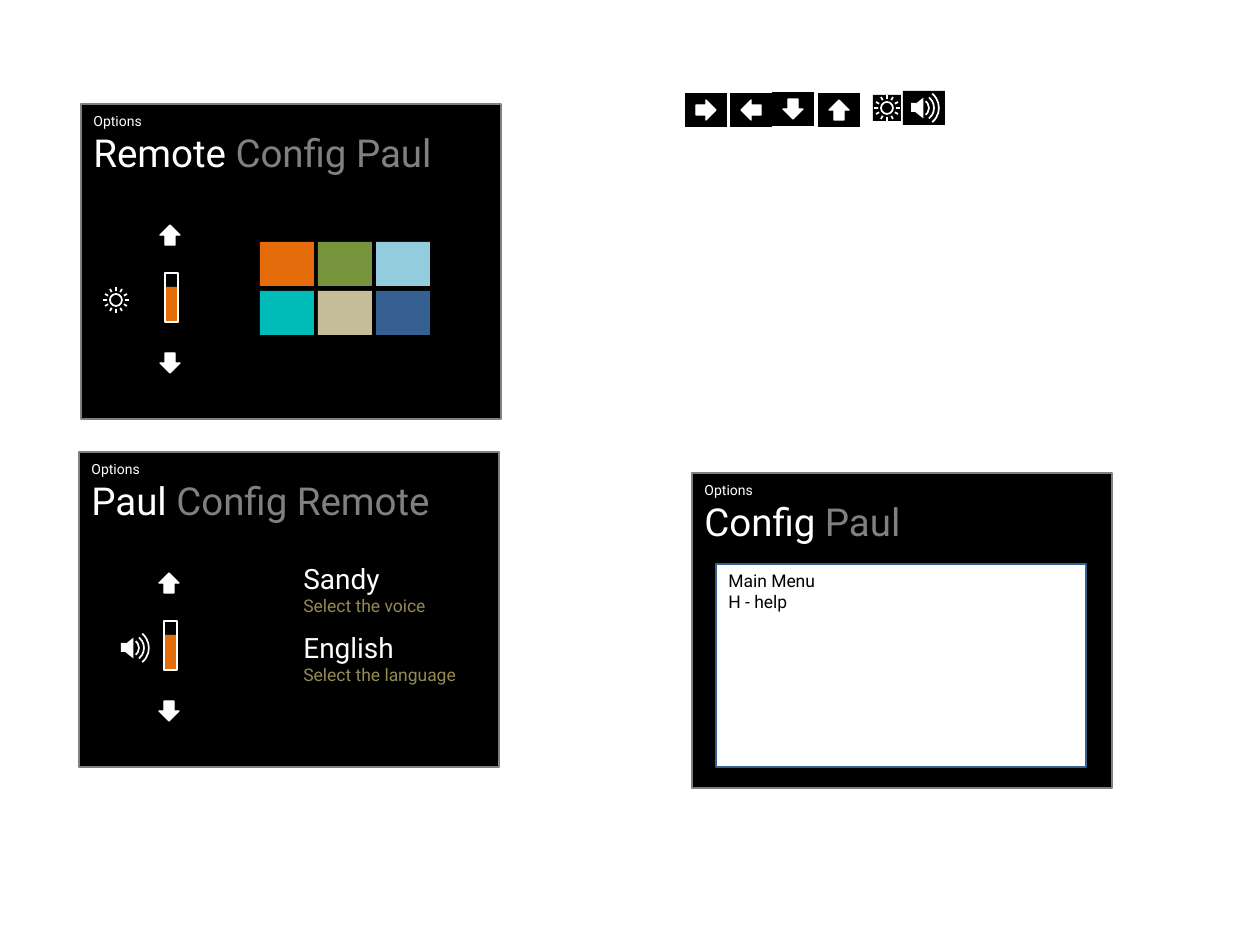
import math
from pptx import Presentation
from pptx import util as u
from pptx.dml.color import RGBColor
from pptx.enum import shapes, text
from pptx.oxml import parse_xml
from pptx.oxml.ns import nsdecls

SCALE = 914400 / 126
COLORS = {
    "white": "FFFFFF", "icon": "FEFEFE", "black": "000000", "gray": "808080",
    "orange": "E46C0A", "green": "77933C", "sky": "93CDDD",
    "teal": "00BCB8", "sand": "C4BD97", "blue": "376092", "olive": "948A54",
}
KIND = shapes.MSO_SHAPE
RIGHT, DOWN, LEFT, UP = 0, 90, 180, 270


def px(value):
    return u.Emu(round(value * SCALE))


def color(name):
    return RGBColor.from_string(COLORS[name])


class Sketch:
    font = "Roboto"

    def __init__(self, slide):
        self.slide = slide
        self.layer = slide.shapes

    def group(self, draw, *args):
        self.layer = self.slide.shapes.add_group_shape().shapes
        draw(*args)
        self.layer = self.slide.shapes

    def shape(self, kind, x, y, w, h, fill=None, line=None, width=0.75, turn=0, adj=()):
        item = self.layer.add_shape(kind, px(x), px(y), px(w), px(h))
        item.shadow.inherit = False
        item.rotation = turn
        for i, value in enumerate(adj):
            item.adjustments[i] = value
        if fill:
            item.fill.solid()
            item.fill.fore_color.rgb = color(fill)
        else:
            item.fill.background()
        if line:
            item.line.color.rgb = color(line)
            item.line.width = u.Pt(width)
        else:
            item.line.fill.background()
        return item

    def centered(self, kind, cx, cy, w, h, **style):
        return self.shape(kind, cx - w // 2, cy - h // 2, w, h, **style)

    def line(self, x1, y1, x2, y2):
        item = self.layer.add_connector(
            shapes.MSO_CONNECTOR.STRAIGHT, px(x1), px(y1), px(x2), px(y2))
        item.line.color.rgb = color("icon")
        item.line.width = u.Pt(1)
        item._element.spPr.append(parse_xml(f"<a:effectLst {nsdecls('a')}/>"))

    def fill_text(self, frame, paragraphs, **frame_format):
        """Each paragraph is a list of (text, size, color) runs."""
        for name, value in frame_format.items():
            setattr(frame, name, value)
        for i, runs in enumerate(paragraphs):
            para = frame.paragraphs[0] if i == 0 else frame.add_paragraph()
            para.alignment = text.PP_ALIGN.LEFT
            for words, size, tint in runs:
                run = para.add_run()
                run.text = words
                for name, value in {"name": self.font, "size": u.Pt(size)}.items():
                    setattr(run.font, name, value)
                run.font.color.rgb = color(tint)

    def textbox(self, x, y, w, h, paragraphs, **frame_format):
        frame = self.layer.add_textbox(px(x), px(y), px(w), px(h)).text_frame
        self.fill_text(frame, paragraphs, **frame_format)
        return frame

    def arrow(self, x, y, turn):
        self.shape(KIND.RIGHT_ARROW, x, y, 20, 20, fill="white", line="white", turn=turn)

    def badge(self, x, y):
        self.shape(KIND.RECTANGLE, x, y, 42, 34, fill="black")

    def arrow_badge(self, x, y, turn):
        self.badge(x, y)
        self.arrow(x + 11, y + 7, turn)

    def sun(self, cx, cy):
        self.centered(KIND.RECTANGLE, cx, cy, 28, 26, fill="black")
        for degrees in range(0, 180, 30):
            dx = round(12.6 * math.cos(math.radians(degrees)))
            dy = round(12.6 * math.sin(math.radians(degrees)))
            self.line(cx - dx, cy - dy, cx + dx, cy + dy)
        for size, outline in ((16, "black"), (12, "icon")):
            self.centered(KIND.OVAL, cx, cy, size, size, fill="black", line=outline, width=1)

    def speaker(self, cx, cy, on_badge=False):
        if on_badge:
            self.badge(cx - 16, cy - 17)
        self.shape(KIND.RECTANGLE, cx - 8, cy - 5, 5, 9, fill="icon")
        self.centered(KIND.TRAPEZOID, cx, cy, 21, 8, fill="icon", turn=270, adj=(0.79,))
        for size in (19, 29, 39):
            self.centered(KIND.ARC, cx, cy, size, size - 1, line="icon", width=1,
                          adj=(187.283, 28.798))

    def gauge(self, x, y):
        self.shape(KIND.RECTANGLE, x, y + 14, 13, 36, fill="orange")
        self.shape(KIND.RECTANGLE, x, y, 13, 49, line="white")
        self.arrow(x - 5, y - 48, UP)
        self.arrow(x - 5, y + 80, DOWN)

    def screen(self, x, y, active, others, title_width):
        self.shape(KIND.RECTANGLE, x, y, 420, 315, fill="black", line="gray")
        self.textbox(x, y + 2, title_width, 77, [
            [("Options", 8, "white")],
            [(active + " ", 22, "white"), (others, 22, "gray")],
        ], word_wrap=False, auto_size=text.MSO_AUTO_SIZE.SHAPE_TO_FIT_TEXT)


prs = Presentation()
prs.slide_width, prs.slide_height = px(1260), px(945)
sketch = Sketch(prs.slides.add_slide(prs.slide_layouts[6]))

# Icon strip
for badge_x, badge_y, turn in ((685, 93, RIGHT), (730, 93, LEFT), (772, 92, DOWN), (818, 93, UP)):
    sketch.group(sketch.arrow_badge, badge_x, badge_y, turn)
sketch.group(sketch.sun, 887, 108)
sketch.group(sketch.speaker, 919, 108, True)

# Remote screen: brightness and colour swatches
sketch.screen(81, 104, "Remote", "Config Paul", 364)
sketch.gauge(165, 273)
sketch.group(sketch.sun, 116, 300)
swatches = (("orange", "green", "sky"), ("teal", "sand", "blue"))
for row, tints in enumerate(swatches):
    for col, tint in enumerate(tints):
        sketch.shape(KIND.RECTANGLE, 260 + 58 * col, 242 + 49 * row, 54, 44, fill=tint)

# Paul screen: volume, voice and language
sketch.screen(79, 452, "Paul", "Config Remote", 364)
sketch.gauge(164, 621)
sketch.group(sketch.speaker, 129, 648)
voice = sketch.textbox(291, 578, 195, 111, [
    [("Sandy", 16, "white")],
    [("Select the voice", 10, "olive")],
    [("English", 16, "white")],
    [("Select the language", 10, "olive")],
], word_wrap=True, vertical_anchor=text.MSO_ANCHOR.MIDDLE, margin_bottom=px(27))
voice.paragraphs[2].space_before = u.Pt(8)

# Config screen: help console
sketch.screen(692, 473, "Config", "Paul", 222)
console = sketch.shape(KIND.RECTANGLE, 716, 564, 370, 203, fill="white", line="blue")
sketch.fill_text(console.text_frame, [
    [("Main Menu", 10, "black")],
    [("H - help", 10, "black")],
], word_wrap=True, vertical_anchor=text.MSO_ANCHOR.TOP)

prs.save("out.pptx")
